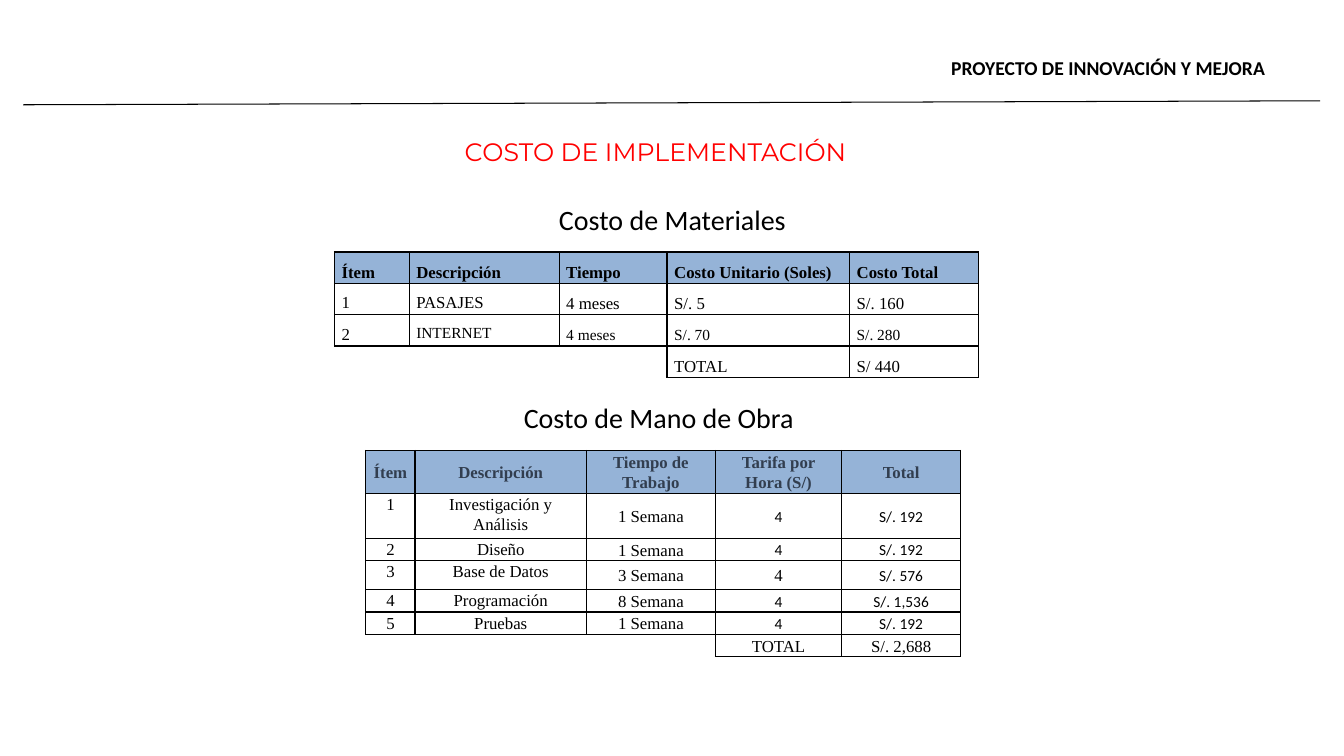
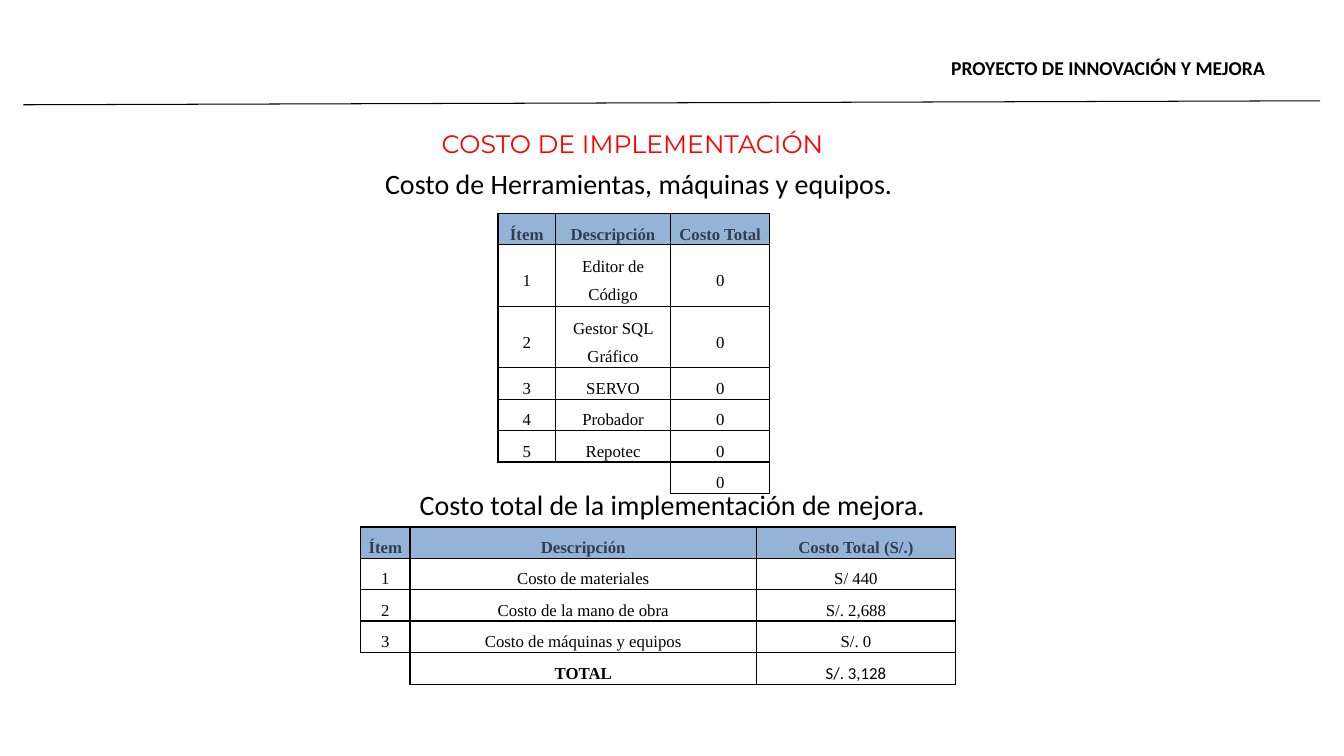
from lxml.etree import SubElement
from pptx import Presentation
from pptx.dml.color import RGBColor
from pptx.enum.shapes import MSO_CONNECTOR, MSO_SHAPE
from pptx.enum.text import MSO_ANCHOR, MSO_AUTO_SIZE, PP_ALIGN
from pptx.oxml.ns import qn
from pptx.util import Cm, Pt

COLORS = {
    "text": "000000",
    "title": "FF0000",
    "paper": "FFFFFF",
    "header_fill": "95B3D7",
    "header_text": "323E4F",
}

# Text styles: size in points, font name, weight, colour key
HEADER = {"size": 14, "name": "Calibri", "bold": True, "color": "text"}
TITLE = {"size": 18, "name": "Montserrat", "bold": False, "color": "title"}
SUBTITLE = {"size": 20, "name": "Calibri", "bold": False, "color": "text"}
CELL = {"size": 12, "name": "Times New Roman", "bold": False, "color": "text"}

ROW = 0.79  # height of a one-line row with wide line spacing, in cm


def color(key):
    return RGBColor.from_string(COLORS[key])


def small(text):
    return text, {"size": 11}


def figure(text):
    return text, {"size": 11, "name": "Calibri"}


class Deck:
    def __init__(self):
        self.prs = Presentation()
        self.prs.slide_width, self.prs.slide_height = Cm(33.87), Cm(19.05)
        self.slide = None

    def new_slide(self):
        layout = self.prs.slide_layouts.get_by_name("Title and Content")
        self.slide = self.prs.slides.add_slide(layout)
        self.rule()
        self.header()

    def add_text(self, frame, text, style, align=PP_ALIGN.LEFT, **paragraph_format):
        paragraph = frame.paragraphs[0]
        paragraph_format = {"alignment": align, "space_before": Pt(0), **paragraph_format}
        for attribute, value in paragraph_format.items():
            setattr(paragraph, attribute, value)
        run = paragraph.add_run()
        run.text = text
        font = {"size": Pt(style["size"]), "name": style["name"], "bold": style["bold"]}
        for attribute, value in font.items():
            setattr(run.font, attribute, value)
        run.font.color.rgb = color(style["color"])

    def place(self, shape, box, wrap=True):
        for attribute, value in zip(("left", "top", "width", "height"), box):
            setattr(shape, attribute, Cm(value))
        frame = shape.text_frame
        layout = {"auto_size": MSO_AUTO_SIZE.NONE, "word_wrap": wrap,
                  "vertical_anchor": MSO_ANCHOR.TOP}
        for attribute, value in layout.items():
            setattr(frame, attribute, value)
        return frame

    def rule(self):
        line = self.slide.shapes.add_connector(
            MSO_CONNECTOR.STRAIGHT, Cm(0.58), Cm(2.64), Cm(33.27), Cm(2.54))
        line.line.color.rgb = color("text")
        line.line.width = Pt(0.75)
        SubElement(line._element.spPr, qn("a:effectLst"))

    def header(self):
        box = (23.72, 1.24, 9.55, 0.84)
        band = self.slide.shapes.add_shape(MSO_SHAPE.RECTANGLE, *map(Cm, box))
        band.shadow.inherit = False
        band.fill.solid()
        band.fill.fore_color.rgb = color("paper")
        band.line.fill.background()
        self.add_text(self.place(band, box), "PROYECTO DE INNOVACIÓN Y MEJORA", HEADER,
                      line_spacing=1.07, space_after=Pt(8))

    def title(self, left, top):
        frame = self.place(self.slide.shapes.title, (left, top, 10.9, 1.02), wrap=False)
        self.add_text(frame, "COSTO DE IMPLEMENTACIÓN", TITLE, PP_ALIGN.CENTER)

    def body(self, text, box, **paragraph_format):
        frame = self.place(self.slide.placeholders[1], box)
        self.add_text(frame, text, SUBTITLE, **paragraph_format)
        properties = frame.paragraphs[0]._p.get_or_add_pPr()
        for attribute in ("marL", "indent"):
            properties.set(attribute, "0")
        SubElement(properties, qn("a:buNone"))

    def subtitle(self, text, box, align=PP_ALIGN.LEFT):
        label = self.slide.shapes.add_textbox(*map(Cm, box))
        self.add_text(self.place(label, box), text, SUBTITLE, align)

    def borders(self, cell, sides):
        properties = cell._tc.get_or_add_tcPr()
        for side in "LRTB":
            line = SubElement(properties, qn(f"a:ln{side}"), w=str(Pt(1)))
            if side in sides:
                fill = SubElement(line, qn("a:solidFill"))
                SubElement(fill, qn("a:srgbClr"), val=COLORS["text"])
            else:
                SubElement(line, qn("a:noFill"))

    def table(self, left, top, widths, heights, rows, spacing=1.5, align=PP_ALIGN.CENTER,
              head_color="header_text", top_columns=()):
        """Cells are text, (text, style changes), or None for the open corner."""
        grid = self.slide.shapes.add_table(
            len(rows), len(widths), Cm(left), Cm(top),
            Cm(sum(widths)), Cm(sum(heights))).table
        grid.first_row = grid.horz_banding = False
        for column, width in zip(grid.columns, widths):
            column.width = Cm(width)
        for row, height in zip(grid.rows, heights):
            row.height = Cm(height)

        for r, row in enumerate(rows):
            for c, content in enumerate(row):
                cell = grid.cell(r, c)
                at_top = r > 0 and c in top_columns
                layout = {"margin_left": Cm(0.18), "margin_right": Cm(0.18),
                          "margin_top": Cm(0.03), "margin_bottom": 0,
                          "vertical_anchor": MSO_ANCHOR.TOP if at_top else MSO_ANCHOR.MIDDLE}
                for attribute, value in layout.items():
                    setattr(cell, attribute, value)
                self.borders(cell, "RT" if content is None else "LRTB")
                if r == 0:
                    cell.fill.solid()
                    cell.fill.fore_color.rgb = color("header_fill")
                else:
                    cell.fill.background()
                if content is None:
                    SubElement(cell.text_frame.paragraphs[0]._p, qn("a:endParaRPr"),
                               sz=str(CELL["size"] * 100))
                    continue
                text, changes = (content, {}) if isinstance(content, str) else content
                heading = {"bold": True, "color": head_color} if r == 0 else {}
                self.add_text(cell.text_frame, text, {**CELL, **heading, **changes}, align,
                              line_spacing=spacing)

        # Open corner left of the total
        corner = rows[-1].count(None)
        if corner > 1:
            last = len(rows) - 1
            grid.cell(last, 0).merge(grid.cell(last, corner - 1))


def materials_and_labour(deck):
    deck.new_slide()
    deck.title(11.07, 3.3)

    # Materials
    deck.body("Costo de Materiales", (2.34, 5.08, 29.21, 12.09),
              align=PP_ALIGN.CENTER, line_spacing=0.9, space_before=Pt(10))
    materials = [
        ["Ítem", "Descripción", "Tiempo", "Costo Unitario (Soles)", "Costo Total"],
        ["1", "PASAJES", "4 meses", "S/. 5", "S/. 160"],
        ["2", *map(small, ("INTERNET", "4 meses", "S/. 70", "S/. 280"))],
        [None, None, None, "TOTAL", "S/ 440"],
    ]
    deck.table(8.43, 6.35, [1.88, 3.78, 2.72, 4.6, 3.25], [ROW] * len(materials), materials,
               align=PP_ALIGN.JUSTIFY, head_color="text", top_columns=(0, 1))

    # Labour
    deck.subtitle("Costo de Mano de Obra", (12.95, 9.98, 7.52, 1.88))
    tasks = [
        ("Investigación y Análisis", "1 Semana", figure("4"), "S/. 192"),
        ("Diseño", "1 Semana", figure("4"), "S/. 192"),
        ("Base de Datos", "3 Semana", "4", "S/. 576"),
        ("Programación", "8 Semana", figure("4"), "S/. 1,536"),
        ("Pruebas", "1 Semana", figure("4"), "S/. 192"),
    ]
    labour = [
        ["Ítem", "Descripción", "Tiempo de Trabajo", "Tarifa por Hora (S/)", "Total"],
        *([str(item), task, time, rate, figure(total)]
          for item, (task, time, rate, total) in enumerate(tasks, 1)),
        [None, None, None, "TOTAL", "S/. 2,688"],
    ]
    deck.table(9.22, 11.35, [1.24, 4.32, 3.25, 3.18, 3.0],
               [1.09, 1.12, 0.56, 0.74, 0.56, 0.56, 0.56], labour,
               spacing=1.06, top_columns=(0, 1))


def tools_and_total(deck):
    deck.new_slide()
    deck.title(10.49, 3.1)

    # Tools, machines and equipment
    deck.body("Costo de Herramientas, máquinas y equipos.", (9.45, 4.06, 14.63, 1.12))
    tool_names = ["Editor de Código", "Gestor SQL Gráfico", "SERVO", "Probador", "Repotec"]
    tools = [
        ["Ítem", "Descripción", "Costo Total"],
        *([str(item), tool, "0"] for item, tool in enumerate(tool_names, 1)),
        [None, None, "0"],
    ]
    deck.table(12.55, 5.38, [1.45, 2.9, 2.5], [ROW, 1.55, 1.55] + [ROW] * 4, tools)

    # Total of the improvement
    deck.subtitle("Costo total de la implementación de mejora.",
                  (9.63, 12.17, 14.63, 1.12), PP_ALIGN.CENTER)
    summary = [
        ["Ítem", "Descripción", "Costo Total (S/.)"],
        ["1", "Costo de materiales", "S/ 440"],
        ["2", "Costo de la mano de obra", "S/. 2,688"],
        ["3", "Costo de máquinas y equipos", "S/. 0"],
        [None, ("TOTAL", {"bold": True}), ("S/. 3,128", {"name": "Calibri"})],
    ]
    deck.table(9.09, 13.28, [1.24, 8.74, 5.0], [ROW] * len(summary), summary)


def main():
    deck = Deck()
    materials_and_labour(deck)
    tools_and_total(deck)
    deck.prs.save("out.pptx")


if __name__ == "__main__":
    main()
